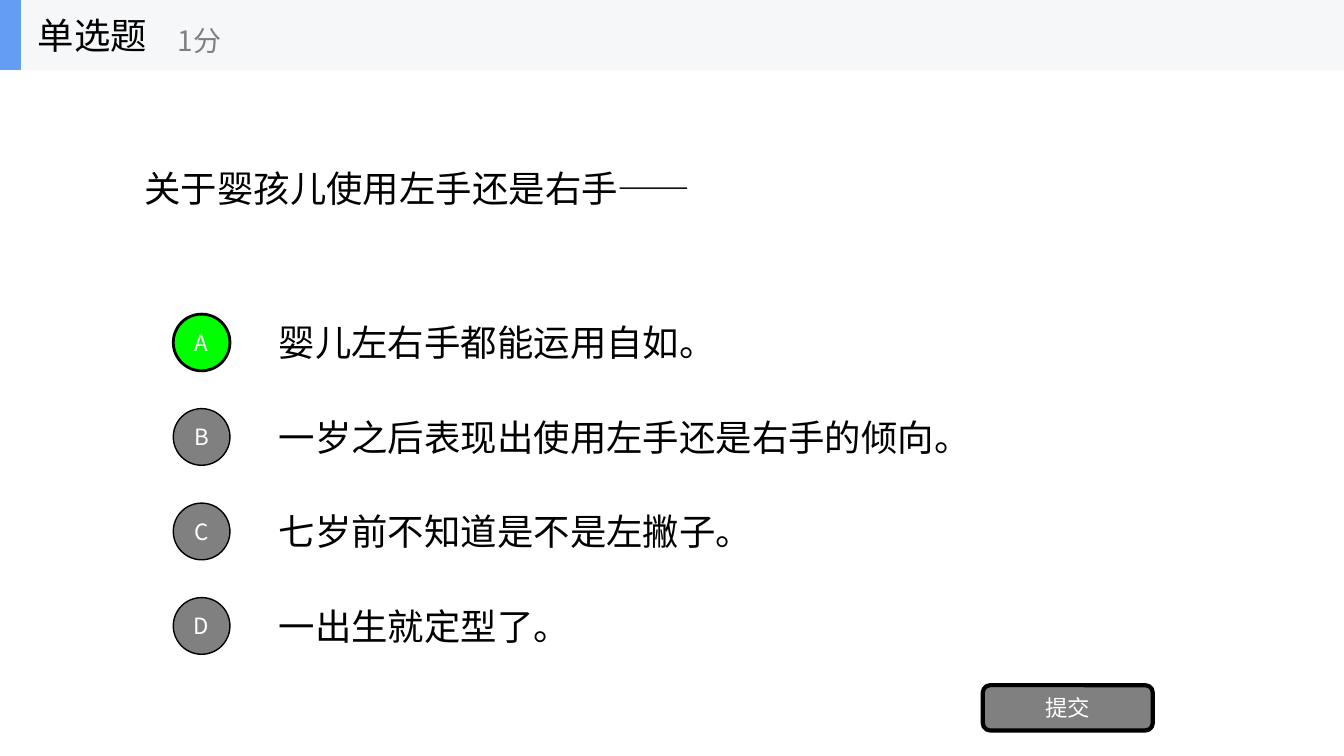
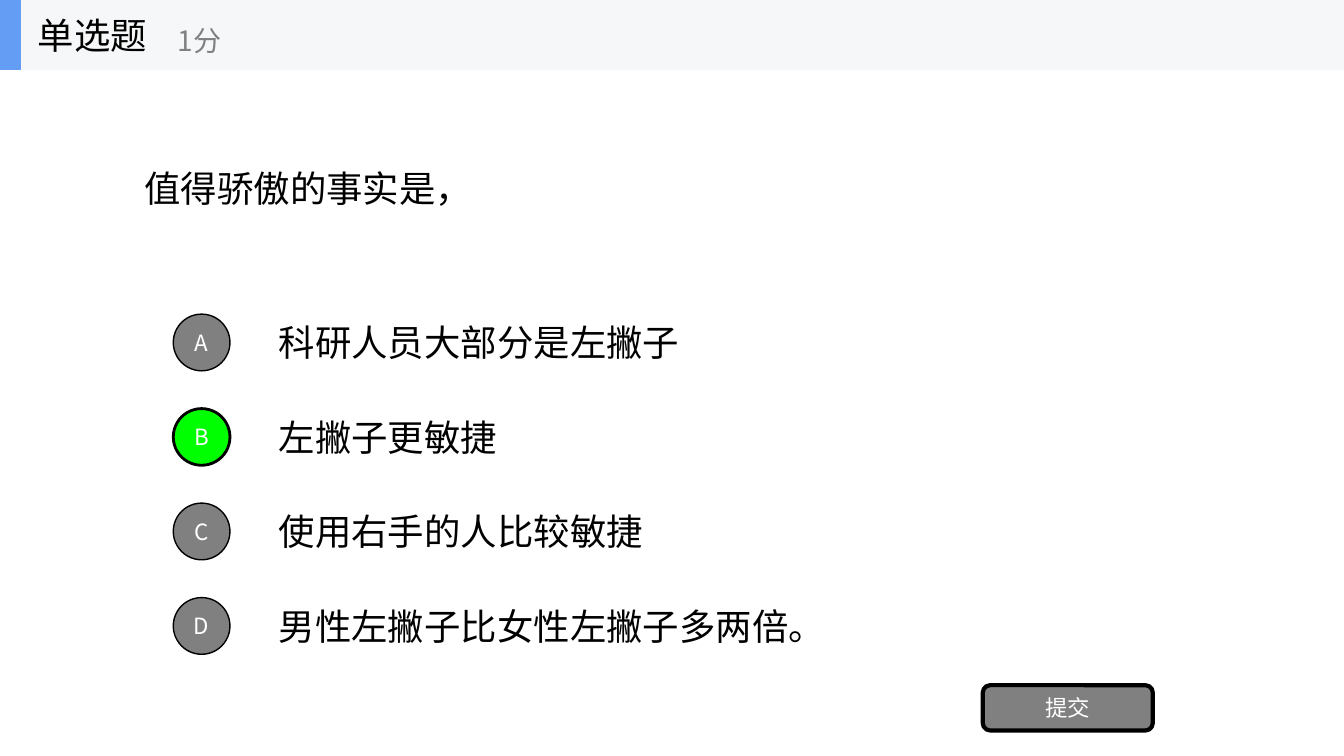
"""Build two single-choice quiz slides with a shared header and submit button."""
from dataclasses import dataclass
from typing import Optional

from lxml.etree import SubElement
from pptx import Presentation
from pptx.dml.color import RGBColor
from pptx.enum.shapes import MSO_SHAPE
from pptx.enum.text import MSO_ANCHOR, MSO_AUTO_SIZE, PP_ALIGN
from pptx.oxml.ns import qn
from pptx.presentation import Presentation as Deck
from pptx.shapes.autoshape import Shape
from pptx.shapes.shapetree import GroupShapes, SlideShapes
from pptx.slide import Slide
from pptx.util import Pt

FONT = "Noto Sans CJK SC"
BLACK, WHITE, GRAY = "000000", "FFFFFF", "808080"
GREEN, BLUE, BAND = "00FF00", "639EF4", "F6F7F8"
SLIDE_WIDTH, SLIDE_HEIGHT = 960, 540
HEADER_HEIGHT = 50
FIRST_OPTION_TOP, OPTION_PITCH, OPTION_HEIGHT = 219.4, 67.5, 50.4
CIRCLE_SIZE = 40.5


@dataclass(frozen=True)
class Box:
    """Position and size in points."""
    left: float
    top: float
    width: float
    height: float


@dataclass(frozen=True)
class TextStyle:
    """Size, colour and alignment of a piece of text."""
    size: float
    color: str
    align: PP_ALIGN = PP_ALIGN.LEFT


@dataclass(frozen=True)
class ShapeStyle:
    """Preset geometry, fill colour and black outline width."""
    preset: MSO_SHAPE
    fill: str
    line_width: float = 0


@dataclass(frozen=True)
class Question:
    """A question, its options and the letter of the right one."""
    wording: str
    options: tuple[str, ...]
    answer: str


BODY_TEXT = TextStyle(26, BLACK)
POINTS_TEXT = TextStyle(20, GRAY)
BUTTON_TEXT = TextStyle(16, WHITE, PP_ALIGN.CENTER)
QUESTION_BOX = Box(96, HEADER_HEIGHT, 768, 168)

QUESTIONS = (
    Question(
        "关于婴孩儿使用左手还是右手——",
        ("婴儿左右手都能运用自如。", "一岁之后表现出使用左手还是右手的倾向。",
         "七岁前不知道是不是左撇子。", "一出生就定型了。"),
        "A",
    ),
    Question(
        "值得骄傲的事实是，",
        ("科研人员大部分是左撇子", "左撇子更敏捷",
         "使用右手的人比较敏捷", "男性左撇子比女性左撇子多两倍。"),
        "B",
    ),
)


def color(value: str) -> RGBColor:
    """Turn a hex string into a colour."""
    return RGBColor.from_string(value)


def write_text(shape: Shape, text: str, style: TextStyle) -> None:
    """Write one vertically centred line into a shape."""
    frame = shape.text_frame
    frame.word_wrap = True
    frame.auto_size = MSO_AUTO_SIZE.NONE
    frame.vertical_anchor = MSO_ANCHOR.MIDDLE
    paragraph = frame.paragraphs[0]
    paragraph.alignment = style.align
    run = paragraph.add_run()
    run.text = text
    run.font.size = Pt(style.size)
    run.font.color.rgb = color(style.color)
    run.font.name = FONT
    SubElement(run._r.get_or_add_rPr(), qn("a:ea"), typeface=FONT)


def add_text(shapes: SlideShapes | GroupShapes, box: Box, text: str, style: TextStyle) -> None:
    """Add a text box."""
    shape = shapes.add_textbox(Pt(box.left), Pt(box.top), Pt(box.width), Pt(box.height))
    write_text(shape, text, style)


def add_figure(shapes: SlideShapes | GroupShapes, box: Box, style: ShapeStyle,
               label: Optional[str] = None) -> None:
    """Add a filled preset shape, with a centred label if one is given."""
    shape = shapes.add_shape(style.preset, Pt(box.left), Pt(box.top),
                             Pt(box.width), Pt(box.height))
    shape.shadow.inherit = False
    shape.fill.solid()
    shape.fill.fore_color.rgb = color(style.fill)
    if style.line_width:
        shape.line.color.rgb = color(BLACK)
        shape.line.width = Pt(style.line_width)
    else:
        shape.line.fill.background()
    if label:
        frame = shape.text_frame
        frame.margin_left = frame.margin_right = 0
        frame.margin_top = frame.margin_bottom = 0
        write_text(shape, label, BUTTON_TEXT)


def add_question_title(slide: Slide, wording: str) -> None:
    """Place the question in the title placeholder."""
    title = slide.shapes.title
    title.left, title.top = Pt(QUESTION_BOX.left), Pt(QUESTION_BOX.top)
    title.width, title.height = Pt(QUESTION_BOX.width), Pt(QUESTION_BOX.height)
    write_text(title, wording, BODY_TEXT)


def add_options(slide: Slide, question: Question) -> None:
    """Add the option wordings, then their lettered circles."""
    tops = [FIRST_OPTION_TOP + row * OPTION_PITCH for row in range(len(question.options))]
    for top, option in zip(tops, question.options):
        add_text(slide.shapes, Box(192, top, 672, OPTION_HEIGHT), option, BODY_TEXT)
    inset = (OPTION_HEIGHT - CIRCLE_SIZE) / 2
    for top, letter in zip(tops, "ABCD"):
        fill, line_width = (GREEN, 2) if letter == question.answer else (GRAY, 1)
        add_figure(slide.shapes, Box(123.75, top + inset, CIRCLE_SIZE, CIRCLE_SIZE),
                   ShapeStyle(MSO_SHAPE.OVAL, fill, line_width), letter)


def add_submit_button(slide: Slide) -> None:
    """Add the submit button."""
    add_figure(slide.shapes, Box(702, 489.4, 121.5, 32.4),
               ShapeStyle(MSO_SHAPE.ROUNDED_RECTANGLE, GRAY, 3), "提交")


def add_header(slide: Slide) -> None:
    """Add the grouped header band with question type and points."""
    shapes = slide.shapes.add_group_shape().shapes
    for width, fill in ((SLIDE_WIDTH, BAND), (15, BLUE)):
        add_figure(shapes, Box(0, 0, width, HEADER_HEIGHT),
                   ShapeStyle(MSO_SHAPE.RECTANGLE, fill))
    add_text(shapes, Box(20, 0, 150, HEADER_HEIGHT), "单选题", BODY_TEXT)
    add_text(shapes, Box(120, 8.5, 180, 40), "1分", POINTS_TEXT)


def add_question_slide(presentation: Deck, question: Question) -> None:
    """Add one complete question slide."""
    slide = presentation.slides.add_slide(presentation.slide_layouts.get_by_name("Title Only"))
    add_question_title(slide, question.wording)
    add_options(slide, question)
    add_submit_button(slide)
    add_header(slide)


def main() -> None:
    """Build and save the presentation."""
    presentation = Presentation()
    presentation.slide_width, presentation.slide_height = Pt(SLIDE_WIDTH), Pt(SLIDE_HEIGHT)
    for question in QUESTIONS:
        add_question_slide(presentation, question)
    presentation.save("out.pptx")


main()
